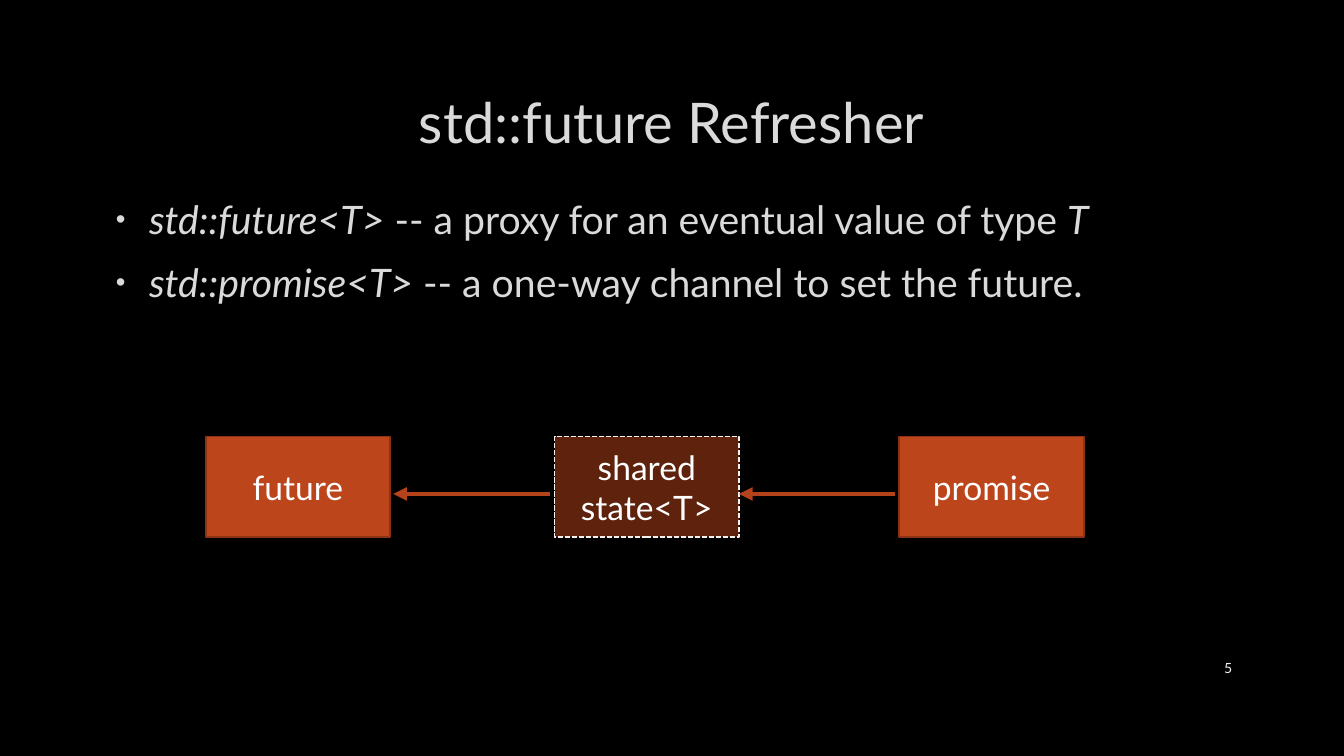
from dataclasses import dataclass

from lxml import etree
from pptx import Presentation
from pptx.dml.color import RGBColor
from pptx.enum import dml, shapes, text
from pptx.oxml import ns
from pptx.util import Inches, Pt

# Content
TITLE = "std::future Refresher"
POINTS = [  # (words, italic) pieces of each bullet
    [("std::future<T>", True), (" -- a proxy for an eventual value of type ", False), ("T", True)],
    [("std::promise<T>", True), (" -- a one-way channel to set the future.", False)],
]
STAGES = [  # label, left, is shared state
    ("future", 2.04, False),
    ("shared state<T>", 5.5, True),
    ("promise", 8.92, False),
]
ARROW_STARTS = [3.9, 7.33]
PAGE_NUMBER = "5"


@dataclass(frozen=True)
class Theme:
    font: str = "Lato"
    background: str = "000000"
    body: str = "DADADA"
    label: str = "FFFFFF"
    pale: str = "F2F2F2"
    box: str = "BC451B"
    border: str = "8B3314"
    arrow: str = "B4421A"
    title_size: int = 40
    body_size: int = 28
    label_size: int = 24
    number_size: int = 10


THEME = Theme()
STAGE_TOP, STAGE_WIDTH, STAGE_HEIGHT = 4.33, 1.83, 1
ARROW_Y, ARROW_LENGTH = 4.9, 1.55


def rgb(color):
    return RGBColor.from_string(color)


def add_xml(parent, tag, **attributes):
    return etree.SubElement(parent, ns.qn(tag), attributes)


def format_run(run, size, color, italic=None):
    run.font.name = THEME.font
    run.font.size = Pt(size)
    run.font.color.rgb = rgb(color)
    run.font.italic = italic


def set_line(frame, words, size, color, align):
    frame.text = words
    frame.word_wrap = True
    frame.auto_size = text.MSO_AUTO_SIZE.NONE
    frame.vertical_anchor = text.MSO_ANCHOR.MIDDLE
    frame.paragraphs[0].alignment = align
    format_run(frame.paragraphs[0].runs[0], size, color)


def add_bullet(paragraph):
    paragraph.space_before = Pt(0.2 * THEME.body_size)
    paragraph.space_after = Pt(6)
    properties = paragraph._p.get_or_add_pPr()
    properties.set("marL", str(Inches(0.38)))
    properties.set("indent", str(Inches(-0.33)))
    add_xml(add_xml(properties, "a:buClr"), "a:srgbClr", val=THEME.body)
    add_xml(properties, "a:buSzPct", val="70000")
    add_xml(properties, "a:buFont", typeface="Arial")
    add_xml(properties, "a:buChar", char="•")


def add_stage(slide, label, left, is_shared):
    stage = slide.shapes.add_shape(
        shapes.MSO_SHAPE.RECTANGLE, Inches(left), Inches(STAGE_TOP),
        Inches(STAGE_WIDTH), Inches(STAGE_HEIGHT))
    stage.shadow.inherit = False
    stage.fill.solid()
    stage.fill.fore_color.rgb = rgb(THEME.box)
    stage.line.width = Pt(1.25)
    stage.line.color.rgb = rgb(THEME.pale if is_shared else THEME.border)
    if is_shared:
        stage.line.dash_style = dml.MSO_LINE.SQUARE_DOT
        fill_color = stage._element.spPr.find(ns.qn("a:solidFill"))[0]
        add_xml(fill_color, "a:alpha", val="50000")
    set_line(stage.text_frame, label, THEME.label_size, THEME.label, text.PP_ALIGN.CENTER)


def add_arrow(slide, left):
    arrow = slide.shapes.add_connector(
        shapes.MSO_CONNECTOR.STRAIGHT, Inches(left), Inches(ARROW_Y),
        Inches(left + ARROW_LENGTH), Inches(ARROW_Y))
    arrow.line.width = Pt(3.25)
    arrow.line.color.rgb = rgb(THEME.arrow)
    add_xml(arrow.line._get_or_add_ln(), "a:headEnd", type="triangle")
    add_xml(arrow._element.spPr, "a:effectLst")


def main():
    deck = Presentation()
    deck.slide_width, deck.slide_height = Inches(13.33), Inches(7.5)
    slide = deck.slides.add_slide(deck.slide_layouts[5])
    slide.background.fill.solid()
    slide.background.fill.fore_color.rgb = rgb(THEME.background)

    # Title
    title = slide.shapes.title
    title.left, title.top = Inches(1), Inches(0.67)
    title.width, title.height = Inches(11.32), Inches(1.06)
    set_line(title.text_frame, TITLE, THEME.title_size, THEME.body, text.PP_ALIGN.CENTER)

    # Bullets
    points = slide.shapes.add_textbox(
        Inches(1), Inches(1.89), Inches(11.32), Inches(4.44)).text_frame
    points.word_wrap = True
    points.text = "\n".join("" for _ in POINTS)
    for paragraph, pieces in zip(points.paragraphs, POINTS):
        add_bullet(paragraph)
        for words, italic in pieces:
            run = paragraph.add_run()
            run.text = words
            format_run(run, THEME.body_size, THEME.body, italic)

    # Flow from promise to future
    for stage in STAGES:
        add_stage(slide, *stage)
    for left in ARROW_STARTS:
        add_arrow(slide, left)

    # Page number
    number = slide.shapes.add_textbox(Inches(11.5), Inches(6.43), Inches(0.82), Inches(0.4))
    set_line(number.text_frame, PAGE_NUMBER, THEME.number_size, THEME.pale, text.PP_ALIGN.RIGHT)

    deck.save("out.pptx")


if __name__ == "__main__":
    main()
